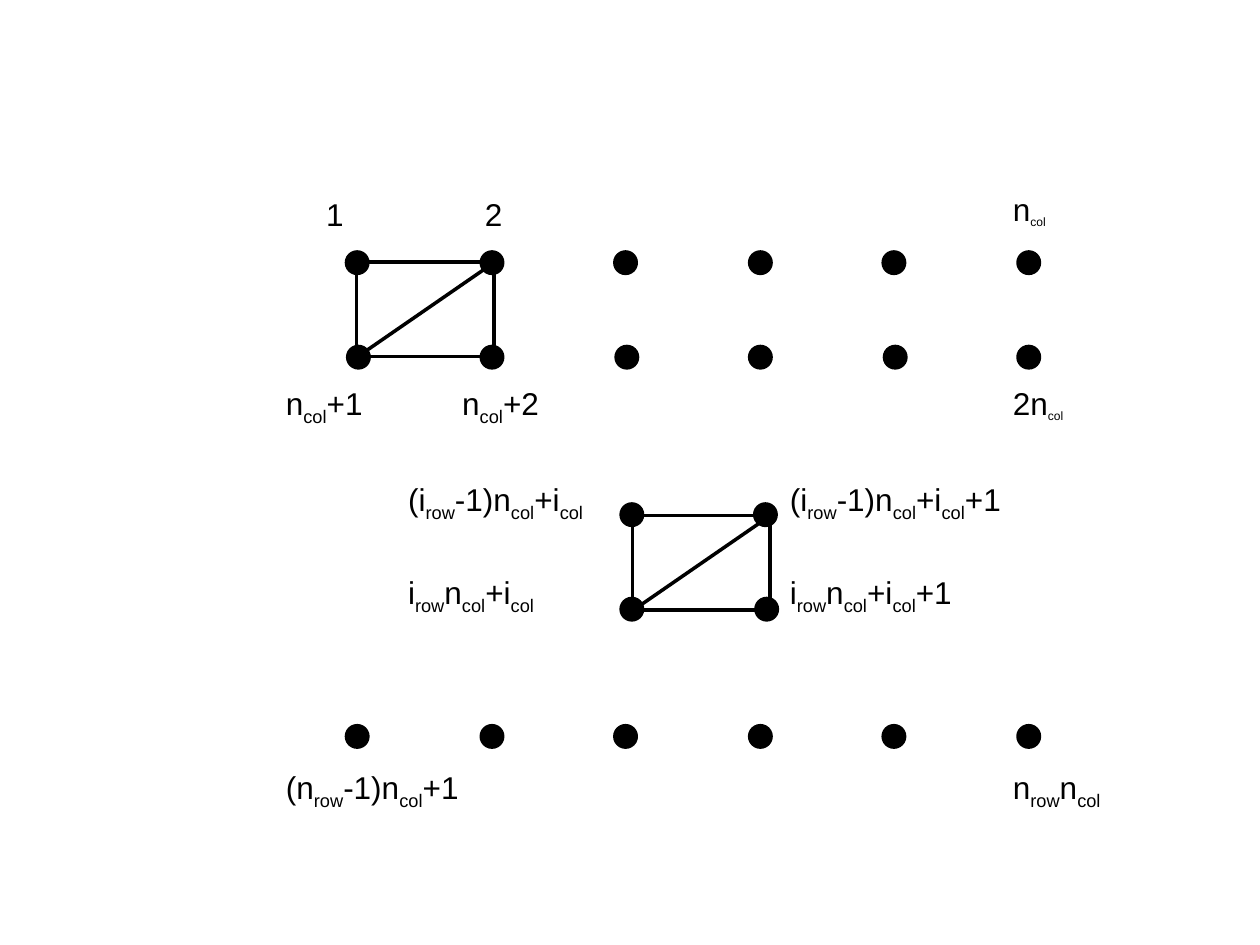
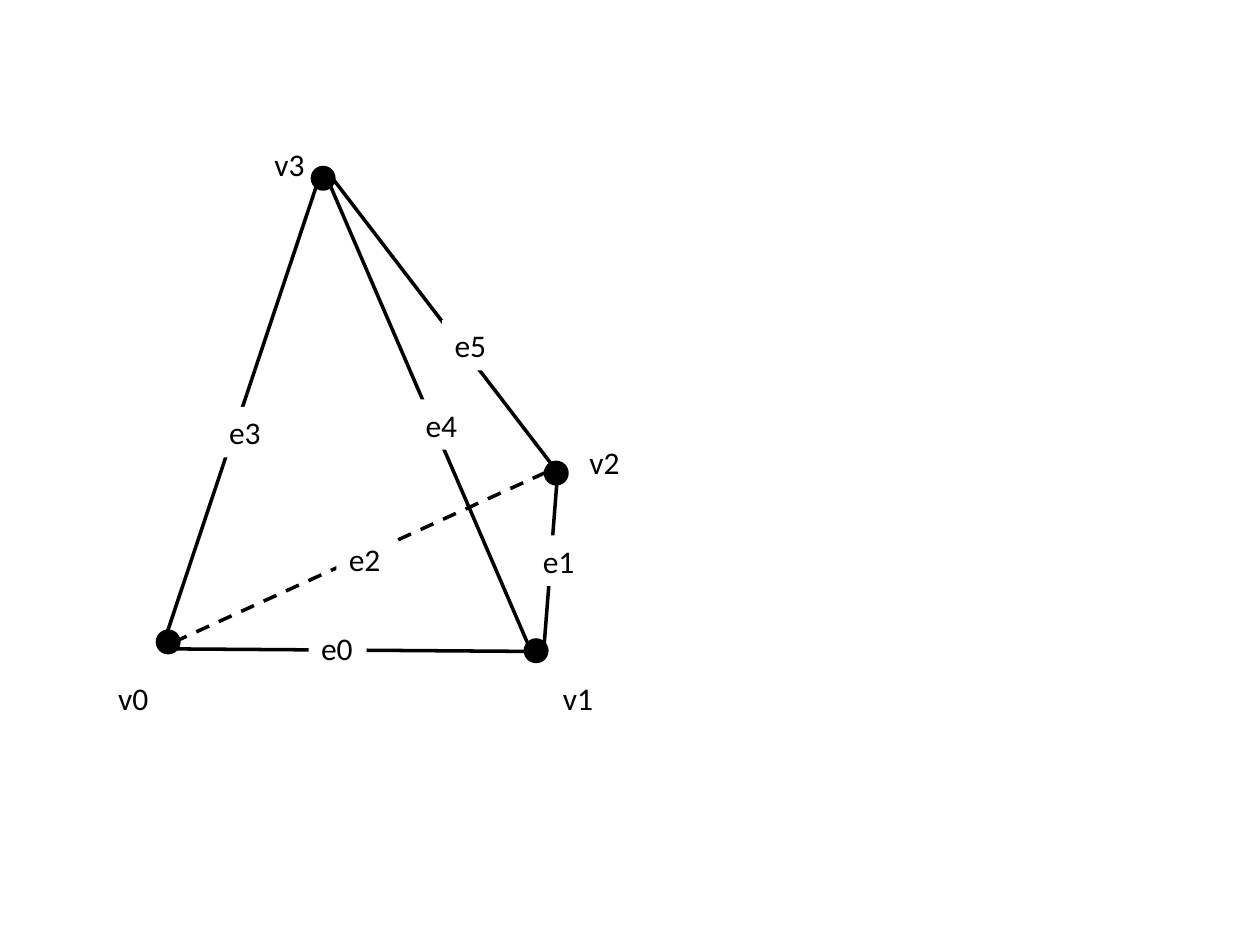
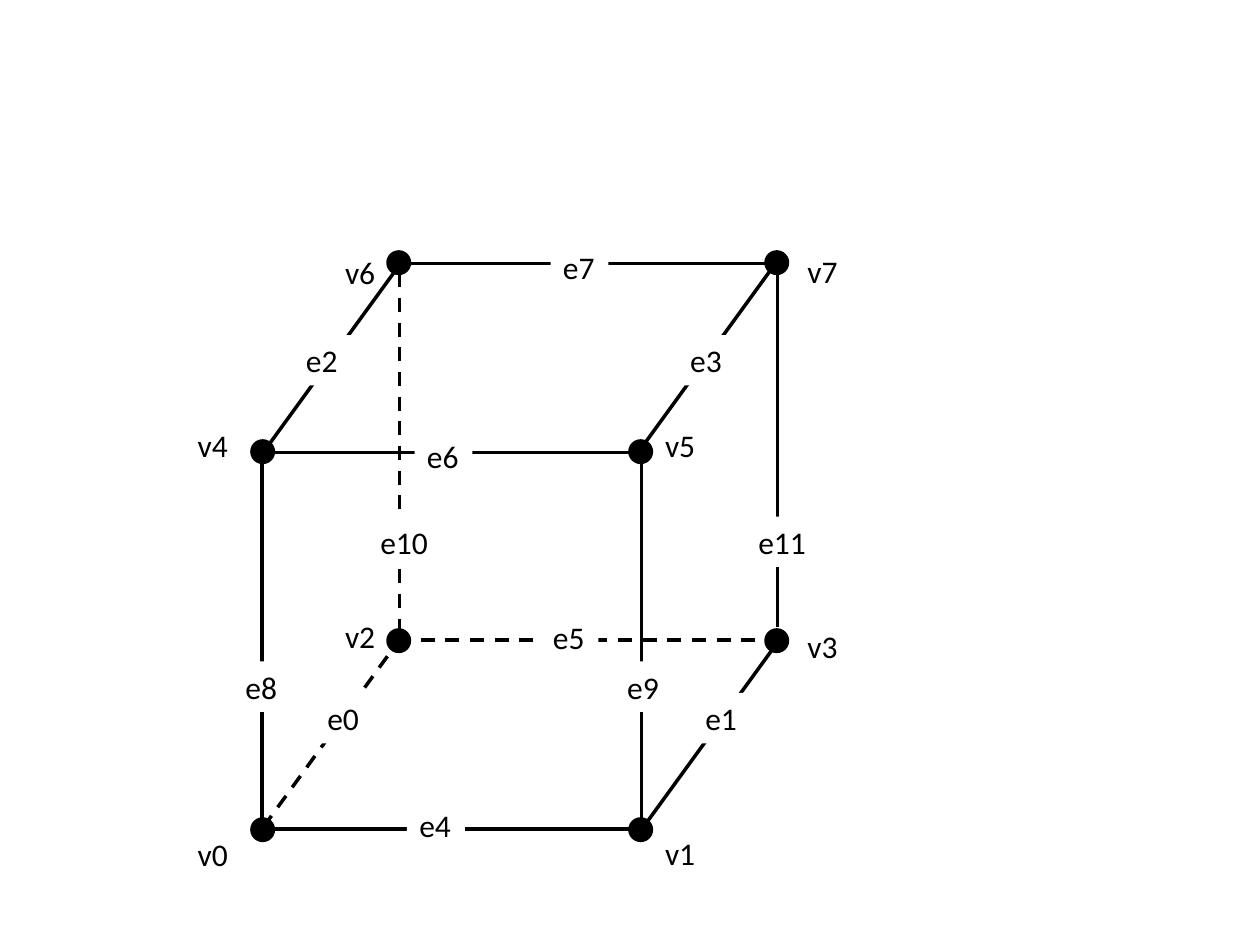
from lxml.etree import SubElement
from pptx import Presentation
from pptx.dml.color import RGBColor
from pptx.enum.dml import MSO_LINE
from pptx.enum.shapes import MSO_CONNECTOR as Connector, MSO_SHAPE as Preset
from pptx.enum.text import MSO_AUTO_SIZE as AutoSize
from pptx.oxml.ns import qn
from pptx.util import Emu, Pt

SCALE = 9144
COLORS = {"ink": "000000", "paper": "FFFFFF"}
DOT = 17
LABEL_HEIGHT = 40


def px(length):
    """Turn px into EMU."""
    return Emu(round(length * SCALE))


def color(name):
    """Look up a named colour."""
    return RGBColor.from_string(COLORS[name])


class Diagram:
    """Hold the shared style and draw on the current slide."""

    def __init__(self, presentation):
        """Remember the presentation."""
        self.presentation = presentation

    def new_slide(self, font):
        """Start a blank slide with one label font."""
        self.slide = self.presentation.slides.add_slide(self.presentation.slide_layouts[6])
        self.font = font

    def stroke(self, line, dashed=False):
        """Give a line the shared stroke."""
        line.color.rgb = color("ink")
        line.width = Pt(2)
        if dashed:
            line.dash_style = MSO_LINE.DASH

    def dot(self, left, top):
        """Draw a vertex."""
        shape = self.slide.shapes.add_shape(Preset.OVAL, px(left), px(top), px(DOT), px(DOT))
        shape.shadow.inherit = False
        shape.fill.solid()
        shape.fill.fore_color.rgb = color("ink")
        self.stroke(shape.line)

    def edge(self, x1, y1, x2, y2, dashed=False):
        """Draw a straight edge."""
        connector = self.slide.shapes.add_connector(
            Connector.STRAIGHT, px(x1), px(y1), px(x2), px(y2))
        self.stroke(connector.line, dashed)
        SubElement(connector._element.spPr, qn("a:effectLst"))

    def label(self, text, left, top, width, subscript_size=None, filled=False):
        """Write a label in which underscores enclose subscripts."""
        shape = self.slide.shapes.add_textbox(px(left), px(top), px(width), px(LABEL_HEIGHT))
        if filled:
            shape.fill.solid()
            shape.fill.fore_color.rgb = color("paper")
        frame = shape.text_frame
        frame.word_wrap = False
        frame.auto_size = AutoSize.SHAPE_TO_FIT_TEXT
        paragraph = frame.paragraphs[0]
        paragraph.font.name = self.font
        paragraph.font.size = Pt(18)
        paragraph.font.color.rgb = color("ink")
        for index, part in enumerate(text.split("_")):
            if not part:
                continue
            run = paragraph.add_run()
            run.text = part
            if index % 2:
                run._r.get_or_add_rPr().set("baseline", "-25000")
                if subscript_size:
                    run.font.size = Pt(subscript_size)

    def vertex_label(self, name, left, top):
        """Name a vertex."""
        self.label(name, left, top, 44)

    def edge_label(self, name, left, top):
        """Name an edge over a white gap."""
        self.label(name, left, top, 46 if len(name) == 2 else 58, filled=True)

    def cell(self, left, top):
        """Draw a grid cell split into two triangles."""
        for x1, y1, x2, y2 in [(101, 6, 1, 75), (0, 0, 0, 75), (109, 0, 109, 76),
                               (0, 0, 99, 0), (0, 75, 99, 75)]:
            self.edge(left + x1, top + y1, left + x2, top + y2)


def draw_grid(diagram):
    """Number the vertices of a triangulated grid."""
    diagram.new_slide("Arial")
    diagram.cell(283, 208)
    last_column, columns = 808, 6
    for first_column, top in [(275, 200), (276, 275), (275, 576)]:
        gap = (last_column - first_column) / (columns - 1)
        for column in range(columns):
            diagram.dot(round(first_column + gap * column), top)
    for left, top in [(493, 400), (599, 400), (493, 475), (600, 475)]:
        diagram.dot(left, top)
    for label in [
        ("1", 249, 150, 34),
        ("2", 375, 150, 34),
        ("n_col_", 794, 146, 49, 12),
        ("(n_row_-1)n_col_+1", 217, 605, 165),
        ("n_col_+1", 217, 300, 84),
        ("2n_col_", 794, 300, 63, 12),
        ("n_col_+2", 357, 300, 84),
        ("n_row_n_col_", 794, 605, 97),
        ("(i_row_-1)n_col_+i_col_", 314, 376, 169),
        ("i_row_n_col_+i_col_", 314, 450, 130),
        ("i_row_n_col_+i_col_+1", 617, 450, 159),
        ("(i_row_-1)n_col_+i_col_+1", 617, 376, 198),
    ]:
        diagram.label(*label)
    diagram.cell(502, 409)


def draw_tetrahedron(diagram):
    """Name the vertices and edges of a tetrahedron."""
    diagram.new_slide("Calibri")
    for left, top in [(248, 133), (433, 367), (417, 508), (125, 501)]:
        diagram.dot(left, top)
    for edge in [(256, 133, 133, 501), (259, 140, 422, 518), (262, 139, 442, 374),
                 (442, 383, 431, 523), (417, 517, 139, 515), (433, 375, 135, 511, True)]:
        diagram.edge(*edge)
    for name, left, top in [("v0", 84, 534), ("v2", 458, 347), ("v1", 437, 534),
                            ("v3", 208, 110)]:
        diagram.vertex_label(name, left, top)
    for name, left, top in [("e0", 245, 494), ("e5", 351, 254), ("e4", 328, 317),
                            ("e3", 172, 323), ("e2", 267, 424), ("e1", 421, 425)]:
        diagram.edge_label(name, left, top)


def draw_cube(diagram):
    """Name the vertices and edges of a cube."""
    diagram.new_slide("Calibri")
    side, depth_x, depth_y = 300, 108, 150
    for up in range(2):
        for back in range(2):
            for right in range(2):
                diagram.dot(200 + side * right + depth_x * back,
                            650 - side * up - depth_y * back)
    edge_groups = [
        (-109, depth_y, [(318, 209), (617, 207), (617, 510), (319, 505, True)]),
        (-side, 0, [(500, 658), (509, 359), (617, 209), (619, 508, True)]),
        (0, side - DOT, [(208, 367), (317, 217, True), (617, 215), (509, 367)]),
    ]
    for run, drop, starts in edge_groups:
        for x, y, *dashed in starts:
            diagram.edge(x, y, x + run, y + drop, *dashed)
    for name, left, top in [("v0", 147, 658), ("v6", 264, 196), ("v7", 631, 195),
                            ("v5", 518, 333), ("v4", 147, 333), ("v2", 264, 485),
                            ("v3", 631, 493), ("v1", 518, 657)]:
        diagram.vertex_label(name, left, top)
    for name, left, top in [("e3", 538, 266), ("e2", 233, 266), ("e1", 550, 550),
                            ("e0", 250, 550), ("e7", 437, 192), ("e5", 429, 486),
                            ("e6", 329, 342), ("e4", 323, 635), ("e11", 592, 410),
                            ("e10", 292, 410), ("e9", 488, 525), ("e8", 185, 525)]:
        diagram.edge_label(name, left, top)


def main():
    """Build the three diagrams."""
    presentation = Presentation()
    presentation.slide_width = px(1000)
    presentation.slide_height = px(750)
    diagram = Diagram(presentation)
    draw_grid(diagram)
    draw_tetrahedron(diagram)
    draw_cube(diagram)
    presentation.save("out.pptx")


if __name__ == "__main__":
    main()
